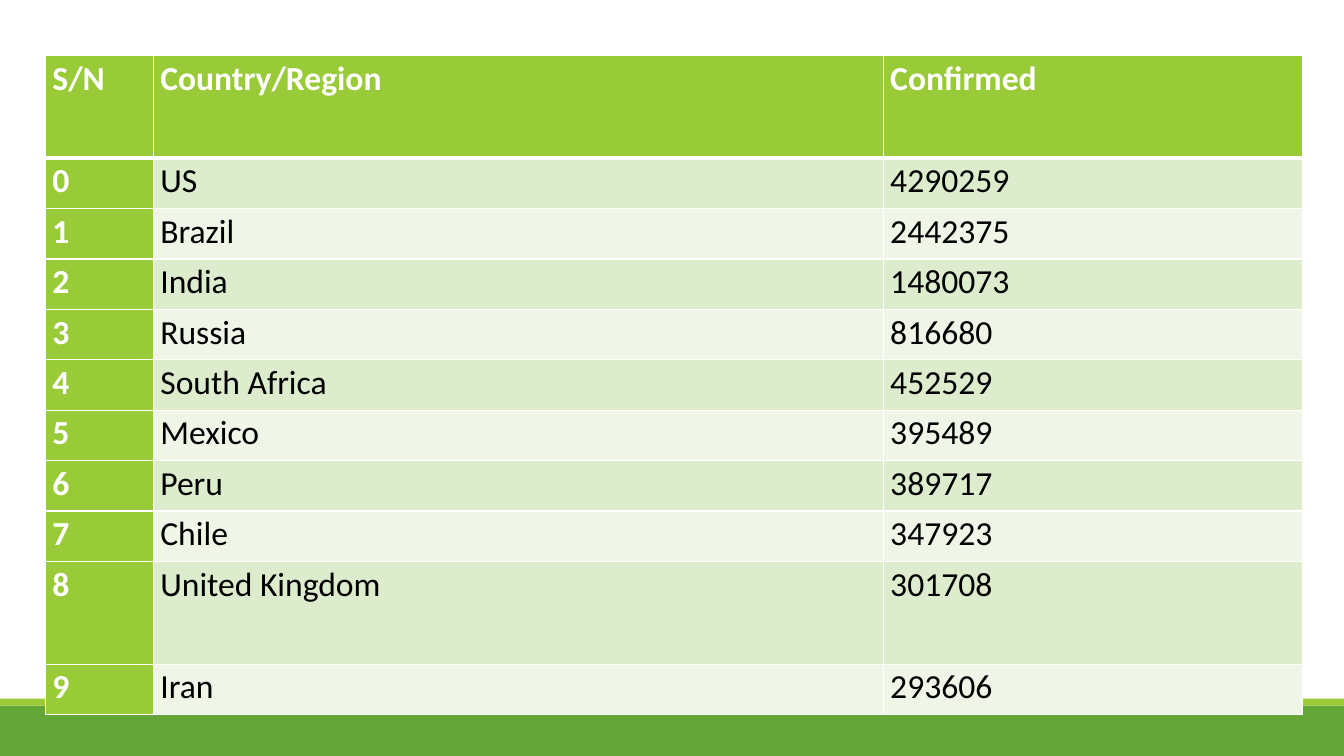
from dataclasses import dataclass

from lxml import etree
from pptx import Presentation
from pptx.dml.color import RGBColor
from pptx.enum.shapes import MSO_SHAPE
from pptx.oxml.ns import qn
from pptx.slide import Slide
from pptx.table import _Cell
from pptx.util import Emu, Inches, Pt

RECT = MSO_SHAPE.RECTANGLE
WIDE, HIGH = Inches(13.33), Inches(7.5)
HUES = {"lime": "99CB38", "green": "63A537", "tint": "DEECCE",
        "pale": "EFF6E8", "white": "FFFFFF", "black": "000000"}
FONT, SIZE = "Calibri", Pt(24)
PAD = Inches(0.07)

# Shares of the slide, in percent
LEFT, TOP = 3.38, 7.33
COLS = (8.03, 54.31, 31.21)
LOW, TALL = 6.67, 13.6
TALL_ROWS = (0, 9)

HEAD = ("S/N", "Country/Region", "Confirmed")
CASES = (
    ("US", 4290259), ("Brazil", 2442375), ("India", 1480073),
    ("Russia", 816680), ("South Africa", 452529), ("Mexico", 395489),
    ("Peru", 389717), ("Chile", 347923), ("United Kingdom", 301708),
    ("Iran", 293606),
)


@dataclass(frozen=True)
class Band:
    top: float
    height: float
    hue: str


BANDS = (Band(93.33, 6.67, "green"), Band(92.4, 0.93, "lime"))


@dataclass(frozen=True)
class Look:
    fill: str
    ink: str
    bold: bool


KEY = Look("lime", "white", True)
BODY = (Look("pale", "black", False), Look("tint", "black", False))


def across(share: float) -> Emu:
    return Emu(round(WIDE * share / 100))


def down(share: float) -> Emu:
    return Emu(round(HIGH * share / 100))


def color(hue: str) -> RGBColor:
    return RGBColor.from_string(HUES[hue])


def draw_band(slide: Slide, band: Band) -> None:
    shape = slide.shapes.add_shape(RECT, 0, down(band.top), WIDE, down(band.height))
    shape.shadow.inherit = False
    shape.fill.solid()
    shape.fill.fore_color.rgb = color(band.hue)
    shape.line.fill.background()


def rule_cell(cell: _Cell, row: int) -> None:
    """Draw white borders, with a thick rule between header and body."""
    props = cell._tc.get_or_add_tcPr()
    thick = {(0, "lnB"), (1, "lnT")}
    for side in ("lnL", "lnR", "lnT", "lnB"):
        width = Pt(3) if (row, side) in thick else Pt(1)
        line = etree.SubElement(props, qn(f"a:{side}"), w=str(width))
        fill = etree.SubElement(line, qn("a:solidFill"))
        etree.SubElement(fill, qn("a:srgbClr"), val=HUES["white"])


def fill_cell(cell: _Cell, text: str, look: Look) -> None:
    cell.fill.solid()
    cell.fill.fore_color.rgb = color(look.fill)
    cell.margin_left = cell.margin_right = PAD
    cell.margin_top = cell.margin_bottom = 0
    para = cell.text_frame.paragraphs[0]
    para.line_spacing = 1.07
    run = para.add_run()
    run.text = text
    run.font.name, run.font.size = FONT, SIZE
    run.font.bold = look.bold
    run.font.color.rgb = color(look.ink)


def draw_table(slide: Slide) -> None:
    rows = [HEAD] + [(str(n), land, str(count))
                     for n, (land, count) in enumerate(CASES)]
    sizes = [TALL if n in TALL_ROWS else LOW for n in range(len(rows))]
    table = slide.shapes.add_table(
        len(rows), len(COLS), across(LEFT), down(TOP),
        across(sum(COLS)), down(sum(sizes))).table
    table.first_col = True
    for col, share in zip(table.columns, COLS):
        col.width = across(share)
    for r, (texts, share) in enumerate(zip(rows, sizes)):
        table.rows[r].height = down(share)
        for c, text in enumerate(texts):
            cell = table.cell(r, c)
            rule_cell(cell, r)
            fill_cell(cell, text, KEY if r == 0 or c == 0 else BODY[r % 2])


def main() -> None:
    deck = Presentation()
    deck.slide_width, deck.slide_height = WIDE, HIGH
    slide = deck.slides.add_slide(deck.slide_layouts[6])
    for band in BANDS:
        draw_band(slide, band)
    draw_table(slide)
    deck.save("out.pptx")


if __name__ == "__main__":
    main()
